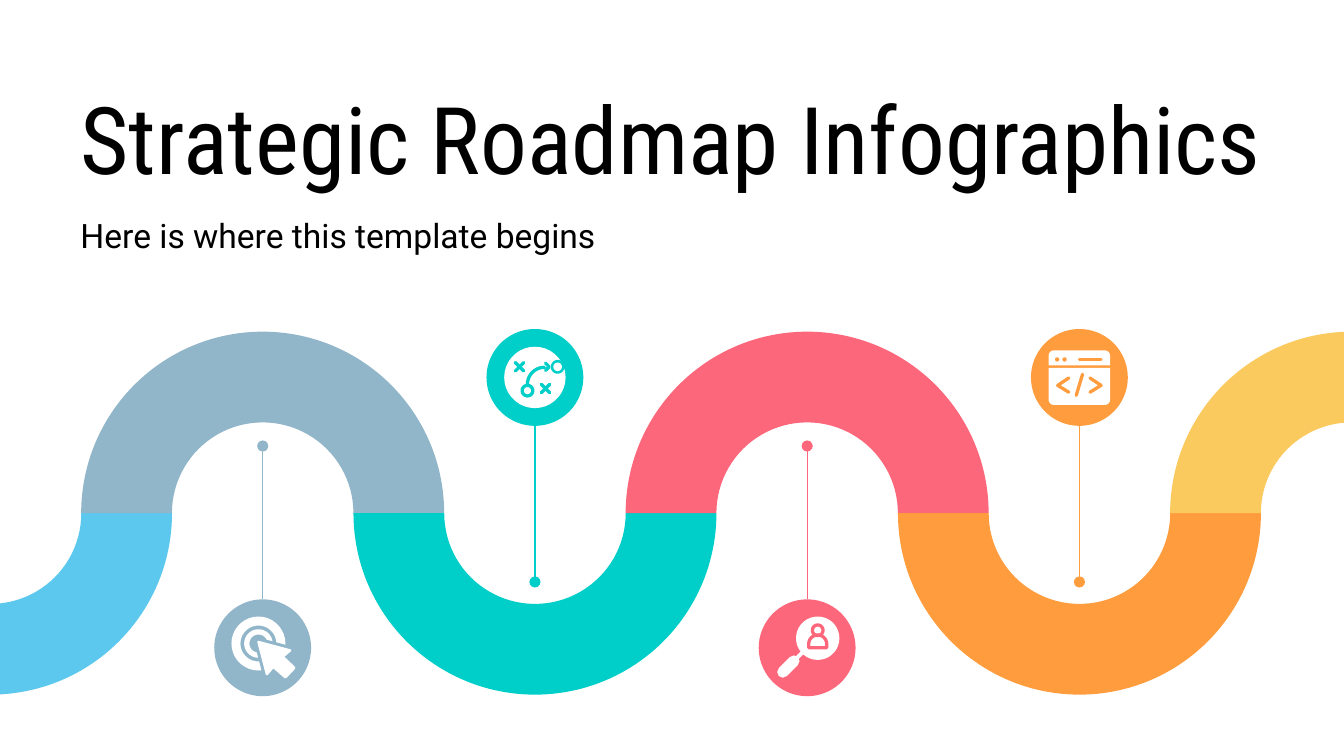
from math import cos, radians, sin

from lxml import etree
from pptx import Presentation
from pptx.dml.color import RGBColor
from pptx.enum import shapes, text
from pptx.oxml.ns import qn
from pptx.util import Cm, Pt

TITLE = "Strategic Roadmap Infographics"
SUBTITLE = "Here is where this template begins"

THEME = {
    "title": ("Roboto Condensed", 50),
    "subtitle": ("Roboto", 18),
    "ink": "000000",
    "paper": "FFFFFF",
    "stem": 0.75,
}


def arc(x, y, r, start=0, end=360):
    steps = 36
    angles = [radians(start + (end - start) * n / steps) for n in range(steps + 1)]
    return [(x + r * cos(a), y + r * sin(a)) for a in angles]


def cross(x, y, half=0.08):
    return [[(x - half, y - half), (x + half, y + half)],
            [(x - half, y + half), (x + half, y - half)]]


# Icon layers: (tone, outlines, stroke width in points, filled).
# Outlines are in cm from the centre of the badge.
CURSOR = [[(-0.08, -0.11), (0.52, 0.05), (0.38, 0.17), (0.6, 0.38),
           (0.43, 0.56), (0.2, 0.36), (0.08, 0.5)]]
TARGET_ICON = [
    ("paper", [arc(-0.08, -0.08, 0.51), arc(-0.08, -0.08, 0.34)], 0, True),
    ("paper", [arc(-0.08, -0.08, 0.27), arc(-0.08, -0.08, 0.17)], 0, True),
    ("badge", CURSOR, 4.5, True),
    ("paper", CURSOR, 1.25, True),
]
TACTICS_ICON = [
    ("paper", [arc(0, 0, 0.58)], 0, True),
    ("badge", [arc(0.43, -0.2, 0.13)], 0, True),
    ("paper", [arc(0.43, -0.2, 0.08)], 0, True),
    ("badge", cross(-0.29, -0.2) + cross(0.2, 0.21)
     + [arc(-0.14, 0.25, 0.1), arc(0.18, 0.13, 0.32, 180, 270),
        [(0.2, -0.27), (0.27, -0.2), (0.2, -0.13)]], 1.75, False),
]
SEARCH_ICON = [
    ("paper", [arc(0.2, -0.18, 0.41)], 0, True),
    ("paper", [[(-0.46, 0.46), (-0.25, 0.25)]], 6, False),
    ("paper", [[(-0.25, 0.25), (-0.08, 0.08)]], 2, False),
    ("badge", [arc(0.2, -0.33, 0.1),
               arc(0.2, -0.07, 0.17, 180, 360) + [(0.37, 0), (0.03, 0), (0.03, -0.07)]],
     1.75, False),
]
CODE_ICON = [
    ("paper", [arc(-0.48, -0.41, 0.1, 180, 270) + arc(0.48, -0.41, 0.1, 270, 360)
               + [(0.58, -0.23), (-0.58, -0.23)]], 0, True),
    ("paper", [arc(0.48, 0.42, 0.1, 0, 90) + arc(-0.48, 0.42, 0.1, 90, 180)
               + [(-0.58, -0.18), (0.58, -0.18)]], 0, True),
    ("badge", [arc(-0.42, -0.34, 0.04), arc(-0.28, -0.34, 0.04)], 0, True),
    ("badge", [[(0, -0.34), (0.41, -0.34)], [(0.06, -0.06), (-0.06, 0.34)],
               [(-0.2, 0.01), (-0.41, 0.15), (-0.2, 0.28)],
               [(0.2, 0.01), (0.41, 0.15), (0.2, 0.28)]], 1.75, False),
]

# Road bends from left to right: colour and the icon of its badge
BENDS = [
    ("5CC8EE", None),
    ("92B6C9", TARGET_ICON),
    ("00CEC8", TACTICS_ICON),
    ("FD677B", SEARCH_ICON),
    ("FF9C3E", CODE_ICON),
    ("FBCA5F", None),
]

BEND = 6.86
STEP = BEND * 0.75  # neighbouring bends share the width of the road
ROAD_LEFT, ROAD_TOP = -3.61, 6.27
BADGE = 1.83
UPPER_BADGE, LOWER_BADGE = 6.22, 11.33
UPPER_DOT, LOWER_DOT = 8.43, 11


def rgb(value):
    return RGBColor.from_string(value)


def paint(shape, fill=None, line=None, width=0):
    shape.shadow.inherit = False
    if fill:
        shape.fill.solid()
        shape.fill.fore_color.rgb = rgb(fill)
    else:
        shape.fill.background()
    if width:
        shape.line.color.rgb = rgb(line)
        shape.line.width = Pt(width)
        outline = shape.line._get_or_add_ln()
        outline.set("cap", "rnd")
        etree.SubElement(outline, qn("a:round"))
    else:
        shape.line.fill.background()


def add_preset(slide, kind, left, top, size, fill):
    shape = slide.shapes.add_shape(kind, Cm(left), Cm(top), Cm(size), Cm(size))
    paint(shape, fill)
    return shape


def add_stem(slide, x, start, end, colour):
    """Draw a line from a badge to a round dot at its end."""
    stem = slide.shapes.add_connector(
        shapes.MSO_CONNECTOR.STRAIGHT, Cm(x), Cm(start), Cm(x), Cm(end))
    stem.line.color.rgb = rgb(colour)
    stem.line.width = Pt(THEME["stem"])
    etree.SubElement(stem.line._get_or_add_ln(), qn("a:tailEnd"), type="oval")
    etree.SubElement(stem._element.spPr, qn("a:effectLst"))


def add_icon(slide, x, y, layers, badge_colour):
    for tone, outlines, width, filled in layers:
        colour = badge_colour if tone == "badge" else THEME["paper"]
        placed = [[(Cm(x + dx), Cm(y + dy)) for dx, dy in outline] for outline in outlines]
        builder = slide.shapes.build_freeform(*placed[0][0])
        for n, points in enumerate(placed):
            if n:
                builder.move_to(*points[0])
            builder.add_line_segments(points[1:], close=filled)
        paint(builder.convert_to_shape(), colour if filled else None, colour, width)


def fill_placeholder(holder, words, style, left, top, width, height):
    holder.left, holder.top = Cm(left), Cm(top)
    holder.width, holder.height = Cm(width), Cm(height)
    frame = holder.text_frame
    frame.text = words
    frame.word_wrap = True
    frame.auto_size = text.MSO_AUTO_SIZE.NONE
    frame.vertical_anchor = text.MSO_ANCHOR.MIDDLE
    frame.margin_left = frame.margin_right = Cm(0.25)
    frame.margin_top = frame.margin_bottom = Cm(0.25)
    paragraph = frame.paragraphs[0]
    paragraph.alignment = text.PP_ALIGN.LEFT
    paragraph.space_before = Pt(0)
    font = paragraph.runs[0].font
    font.name, size = THEME[style]
    font.size = Pt(size)
    font.color.rgb = rgb(THEME["ink"])


def main():
    deck = Presentation()
    deck.slide_width, deck.slide_height = Cm(25.4), Cm(14.29)
    slide = deck.slides.add_slide(deck.slide_layouts[0])
    fill_placeholder(slide.shapes.title, TITLE, "title", 1.27, 1.14, 22.86, 2.9)
    fill_placeholder(slide.placeholders[1], SUBTITLE, "subtitle", 1.27, 3.81, 13.59, 1.27)

    for n, (colour, icon) in enumerate(BENDS):
        left = ROAD_LEFT + n * STEP
        arch = n % 2 == 1
        bend = add_preset(slide, shapes.MSO_SHAPE.BLOCK_ARC, left, ROAD_TOP, BEND, colour)
        bend.rotation = 0 if arch else 180
        if icon:
            x = left + BEND / 2
            top = LOWER_BADGE if arch else UPPER_BADGE
            add_preset(slide, shapes.MSO_SHAPE.OVAL, x - BADGE / 2, top, BADGE, colour)
            if arch:
                add_stem(slide, x, top, UPPER_DOT, colour)
            else:
                add_stem(slide, x, top + BADGE, LOWER_DOT, colour)
            add_icon(slide, x, top + BADGE / 2, icon, colour)

    deck.save("out.pptx")


if __name__ == "__main__":
    main()
